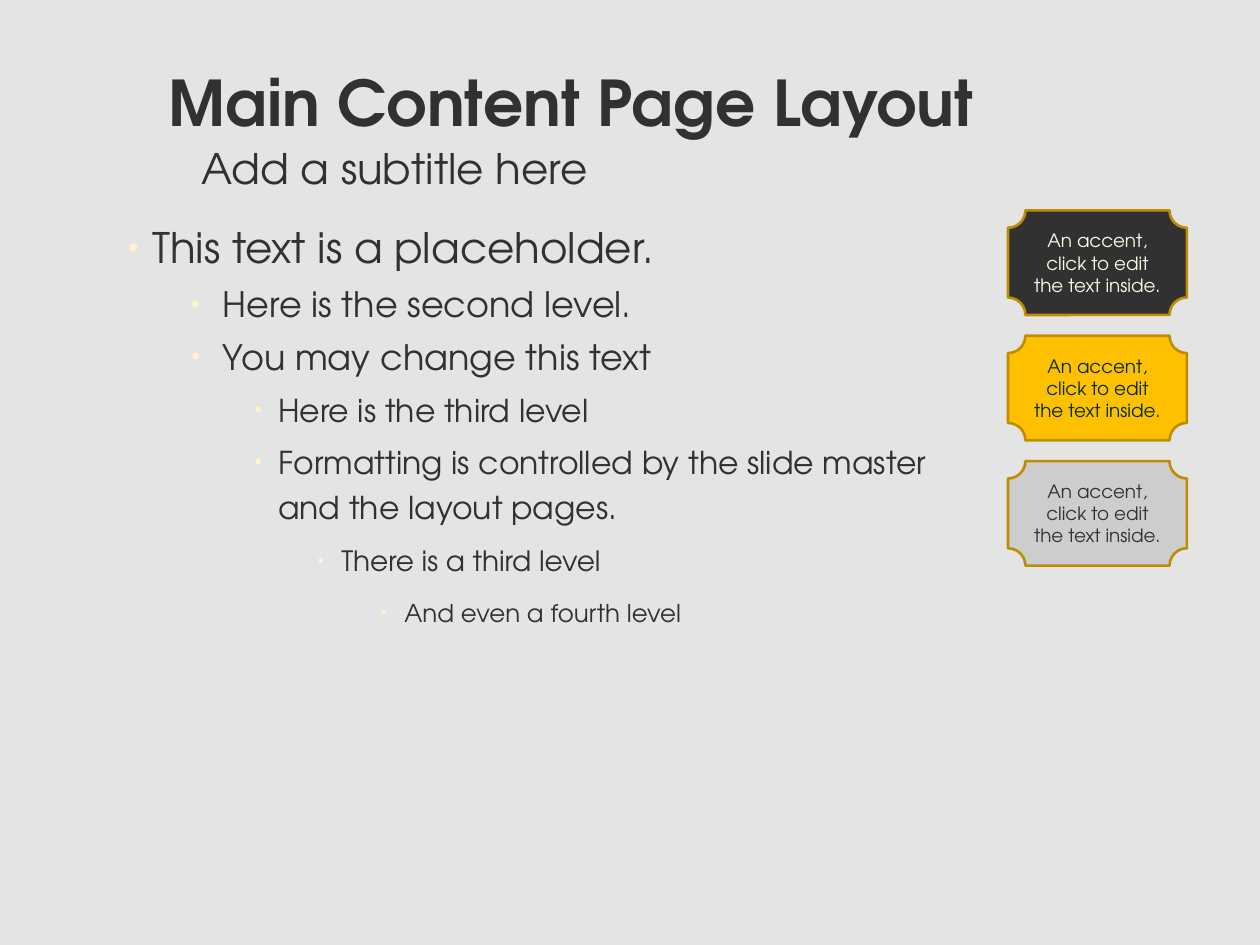
from lxml.etree import SubElement
from pptx import Presentation
from pptx.dml.color import RGBColor
from pptx.enum.shapes import MSO_SHAPE
from pptx.enum.text import MSO_ANCHOR, MSO_AUTO_SIZE, PP_ALIGN
from pptx.oxml.ns import qn
from pptx.util import Inches, Pt

FONT = "TeX Gyre Adventor"
INK = "313131"
BULLET = "FFF2CC"


def rgb(value):
    return RGBColor.from_string(value)


def style(paragraph, size, color=INK, bold=False):
    font = paragraph.font
    font.name, font.size, font.bold = FONT, Pt(size), bold
    font.color.rgb = rgb(color)


deck = Presentation()
deck.slide_width, deck.slide_height = Inches(10), Inches(7.5)
slide = deck.slides.add_slide(deck.slide_layouts[5])
slide.background.fill.solid()
slide.background.fill.fore_color.rgb = rgb("E4E4E4")

# Title and subtitle
title = slide.shapes.title
title.left, title.top = Inches(1.24), Inches(0.45)
title.width, title.height = Inches(8.34), Inches(0.7)
title.text_frame.text = "Main Content Page Layout"
title.text_frame.auto_size = MSO_AUTO_SIZE.NONE
title.text_frame.vertical_anchor = MSO_ANCHOR.MIDDLE
heading = title.text_frame.paragraphs[0]
heading.alignment = PP_ALIGN.LEFT
style(heading, 36, bold=True)

subtitle = slide.shapes.add_textbox(
    Inches(1.5), Inches(1.08), Inches(8.08), Inches(0.5)).text_frame
subtitle.word_wrap = True
subtitle.text = "Add a subtitle here"
style(subtitle.paragraphs[0], 24)

# Outline: size, text indent and hanging bullet width of each level
levels = [(24, 0.19, 0.19), (20, 0.75, 0.25), (18, 1.19, 0.19),
          (16, 1.69, 0.19), (14, 2.19, 0.19)]
outline = [
    (0, "This text is a placeholder."),
    (1, "Here is the second level."),
    (1, "You may change this text"),
    (2, "Here is the third level"),
    (2, "Formatting is controlled by the slide master\vand the layout pages."),
    (3, "There is a third level"),
    (4, "And even a fourth level"),
]
body = slide.shapes.add_textbox(
    Inches(0.92), Inches(1.75), Inches(9.08), Inches(4.95)).text_frame
body.word_wrap = True
for index, (level, words) in enumerate(outline):
    size, indent, hanging = levels[level]
    item = body.add_paragraph() if index else body.paragraphs[0]
    item.text = words
    item.level = level
    item.line_spacing = Pt(26)
    if index:
        item.space_before = Pt(size * 0.2)
    properties = item._p.get_or_add_pPr()
    properties.set("marL", str(Inches(indent)))
    properties.set("indent", str(-Inches(hanging)))
    bullet_color = SubElement(properties, qn("a:buClr"))
    SubElement(bullet_color, qn("a:srgbClr"), val=BULLET)
    SubElement(properties, qn("a:buSzPct"), val="70000")
    SubElement(properties, qn("a:buFont"), typeface="Arial")
    SubElement(properties, qn("a:buChar"), char="•")
    style(item, size)

# Column of accents: fill and text colour
accents = [(INK, "FFF9E6"), ("FFC000", "012C1E"), ("CDCDCD", INK)]
for row, (fill, text_color) in enumerate(accents):
    accent = slide.shapes.add_shape(
        MSO_SHAPE.PLAQUE, Inches(8), Inches(1.67 + row * 0.995),
        Inches(1.42), Inches(0.83))
    accent.shadow.inherit = False
    accent.fill.solid()
    accent.fill.fore_color.rgb = rgb(fill)
    accent.line.color.rgb = rgb("BD8E00")
    accent.line.width = Pt(1.5)
    label = accent.text_frame
    label.word_wrap = True
    label.vertical_anchor = MSO_ANCHOR.MIDDLE
    label.text = "An accent, click to edit the text inside."
    label.paragraphs[0].alignment = PP_ALIGN.CENTER
    style(label.paragraphs[0], 10.5, text_color)

deck.save("out.pptx")
